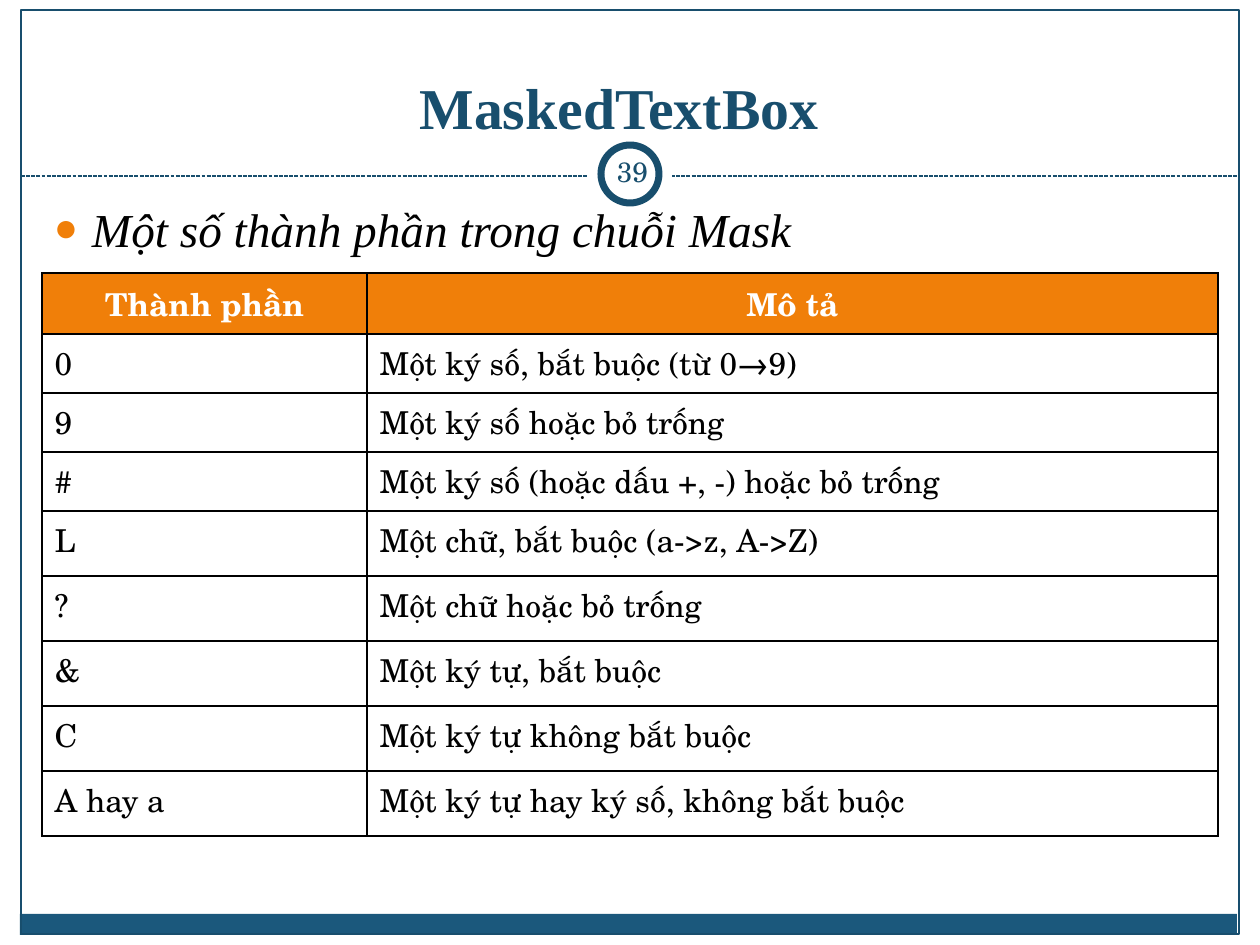
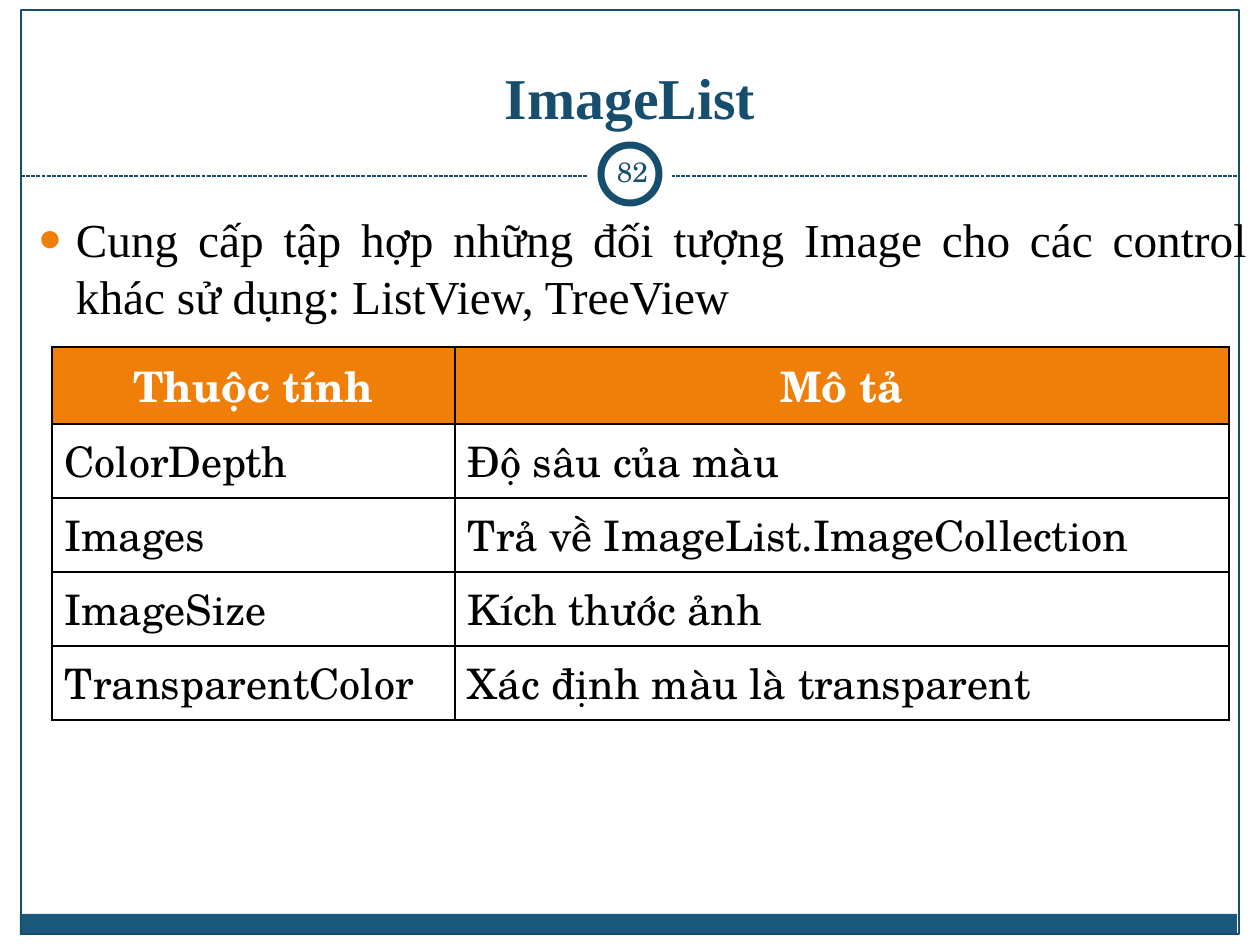
from lxml import etree
from pptx import Presentation
from pptx.dml.color import RGBColor
from pptx.enum.dml import MSO_LINE
from pptx.enum.shapes import MSO_CONNECTOR, MSO_SHAPE
from pptx.enum.text import MSO_ANCHOR, PP_ALIGN
from pptx.oxml.ns import qn
from pptx.util import Pt

RECTANGLE, OVAL = MSO_SHAPE.RECTANGLE, MSO_SHAPE.OVAL
STRAIGHT, DASH = MSO_CONNECTOR.STRAIGHT, MSO_LINE.SQUARE_DOT
TOP, MIDDLE, BOTTOM = MSO_ANCHOR.TOP, MSO_ANCHOR.MIDDLE, MSO_ANCHOR.BOTTOM
LEFT, CENTER, JUSTIFY = PP_ALIGN.LEFT, PP_ALIGN.CENTER, PP_ALIGN.JUSTIFY

COLORS = {"navy": "184E6D", "band": "1B587C", "orange": "F07F09",
          "white": "FFFFFF", "black": "000000"}
SERIF, SCHOOL = "Times New Roman", "TeX Gyre Schola"
EMU_PER_PIXEL = 914400 / 126

MASK_ROWS = [
    ("Thành phần", "Mô tả"),
    ("0", "Một ký số, bắt buộc (từ 0→9)"),
    ("9", "Một ký số hoặc bỏ trống"),
    ("#", "Một ký số (hoặc dấu +, -) hoặc bỏ trống"),
    ("L", "Một chữ, bắt buộc (a->z, A->Z)"),
    ("?", "Một chữ hoặc bỏ trống"),
    ("&", "Một ký tự, bắt buộc"),
    ("C", "Một ký tự không bắt buộc"),
    ("A hay a", "Một ký tự hay ký số, không bắt buộc"),
]
IMAGE_LIST_ROWS = [
    ("Thuộc tính", "Mô tả"),
    ("ColorDepth", "Độ sâu của màu"),
    ("Images", "Trả về ImageList.ImageCollection"),
    ("ImageSize", "Kích thước ảnh"),
    ("TransparentColor", "Xác định màu là transparent"),
]


def px(length):
    return round(length * EMU_PER_PIXEL)


def rgb(name):
    return RGBColor.from_string(COLORS[name])


def add_color(parent, name):
    etree.SubElement(parent, qn("a:srgbClr"), val=COLORS[name])


class Deck:
    def __init__(self):
        self.presentation = Presentation()
        self.presentation.slide_width = px(1260)
        self.presentation.slide_height = px(945)
        self.slide = None

    def start_slide(self):
        blank = self.presentation.slide_layouts[6]
        self.slide = self.presentation.slides.add_slide(blank)
        self.shape(RECTANGLE, (20, 914, 1217, 21), fill="band")
        self.shape(RECTANGLE, (21, 10, 1218, 924), line="navy", weight=0.75)
        self.dashed_line(21, 1239, 176)
        self.shape(OVAL, (588, 132, 84, 84), fill="white")
        self.shape(OVAL, (601, 145, 58, 58), "white", "navy", 4)

    def shape(self, kind, box, fill=None, line=None, weight=0):
        shape = self.slide.shapes.add_shape(kind, *map(px, box))
        shape.shadow.inherit = False
        if fill:
            shape.fill.solid()
            shape.fill.fore_color.rgb = rgb(fill)
        else:
            shape.fill.background()
        if line:
            shape.line.color.rgb = rgb(line)
            shape.line.width = Pt(weight)
        else:
            shape.line.fill.background()

    def dashed_line(self, left, right, y):
        connector = self.slide.shapes.add_connector(
            STRAIGHT, px(left), px(y), px(right), px(y))
        connector.line.color.rgb = rgb("navy")
        connector.line.width = Pt(0.75)
        connector.line.dash_style = DASH
        etree.SubElement(connector._element.spPr, qn("a:effectLst"))

    def style(self, paragraph, font, size, color, align=LEFT, bold=False, italic=False):
        paragraph.alignment = align
        for run in paragraph.runs:
            run.font.name = font
            run.font.size = Pt(size)
            run.font.color.rgb = rgb(color)
            run.font.bold = bold
            run.font.italic = italic

    def text(self, text, box, anchor, margins=(13, 6, 13, 6)):
        frame = self.slide.shapes.add_textbox(*map(px, box)).text_frame
        frame.word_wrap = True
        frame.vertical_anchor = anchor
        (frame.margin_left, frame.margin_top,
         frame.margin_right, frame.margin_bottom) = map(px, margins)
        frame.text = text
        return frame.paragraphs[0]

    def title(self, text, left, top):
        paragraph = self.text(text, (left, top, 1176, 105), BOTTOM)
        self.style(paragraph, SERIF, 33, "navy", CENTER, bold=True)

    def page_number(self, number):
        paragraph = self.text(str(number), (601, 141, 63, 60), MIDDLE, (6, 6, 6, 6))
        self.style(paragraph, SCHOOL, 16, "navy", CENTER)

    def bullet(self, text, box, align=LEFT, italic=False):
        paragraph = self.text(text, box, TOP, (13, 11, 13, 6))
        properties = paragraph._p.get_or_add_pPr()
        properties.set("marL", str(px(38)))
        properties.set("indent", str(-px(38)))
        add_color(etree.SubElement(properties, qn("a:buClr")), "orange")
        etree.SubElement(properties, qn("a:buSzPct"), val="85000")
        etree.SubElement(properties, qn("a:buFont"), typeface=SERIF)
        etree.SubElement(properties, qn("a:buChar"), char="●")
        self.style(paragraph, SERIF, 27, "black", align, italic=italic)

    def cell_borders(self, cell):
        properties = cell._tc.get_or_add_tcPr()
        for side in ("lnL", "lnR", "lnT", "lnB"):
            border = etree.SubElement(properties, qn(f"a:{side}"), w=str(Pt(1)))
            add_color(etree.SubElement(border, qn("a:solidFill")), "black")

    def table(self, rows, left, top, widths, heights, size):
        table = self.slide.shapes.add_table(
            len(rows), len(widths), px(left), px(top),
            px(sum(widths)), px(sum(heights))).table
        table.horz_banding = False
        for column, width in zip(table.columns, widths):
            column.width = px(width)
        for index, (row, height, texts) in enumerate(zip(table.rows, heights, rows)):
            row.height = px(height)
            header = index == 0
            for cell, text in zip(row.cells, texts):
                self.cell_borders(cell)
                cell.fill.solid()
                cell.fill.fore_color.rgb = rgb("orange" if header else "white")
                cell.text_frame.text = text
                self.style(cell.text_frame.paragraphs[0], SCHOOL, size,
                           "white" if header else "black",
                           CENTER if header else LEFT, bold=header)


def masked_text_box(deck):
    deck.start_slide()
    deck.bullet("Một số thành phần trong chuỗi Mask", (41, 189, 1172, 693), italic=True)
    deck.table(MASK_ROWS, 42, 273, (325, 851), [61] + [59] * 3 + [65] * 5, 18)
    deck.title("MaskedTextBox", 31, 42)
    deck.page_number(39)


def image_list(deck):
    deck.start_slide()
    deck.title("ImageList", 42, 32)
    deck.bullet("Cung cấp tập hợp những đối tượng Image cho các control khác sử dụng: "
                "ListView, TreeView", (25, 199, 1235, 735), JUSTIFY)
    deck.table(IMAGE_LIST_ROWS, 52, 347, (403, 774), [77] + [74] * 4, 24)
    deck.page_number(82)


def main():
    deck = Deck()
    masked_text_box(deck)
    image_list(deck)
    deck.presentation.save("out.pptx")


if __name__ == "__main__":
    main()
